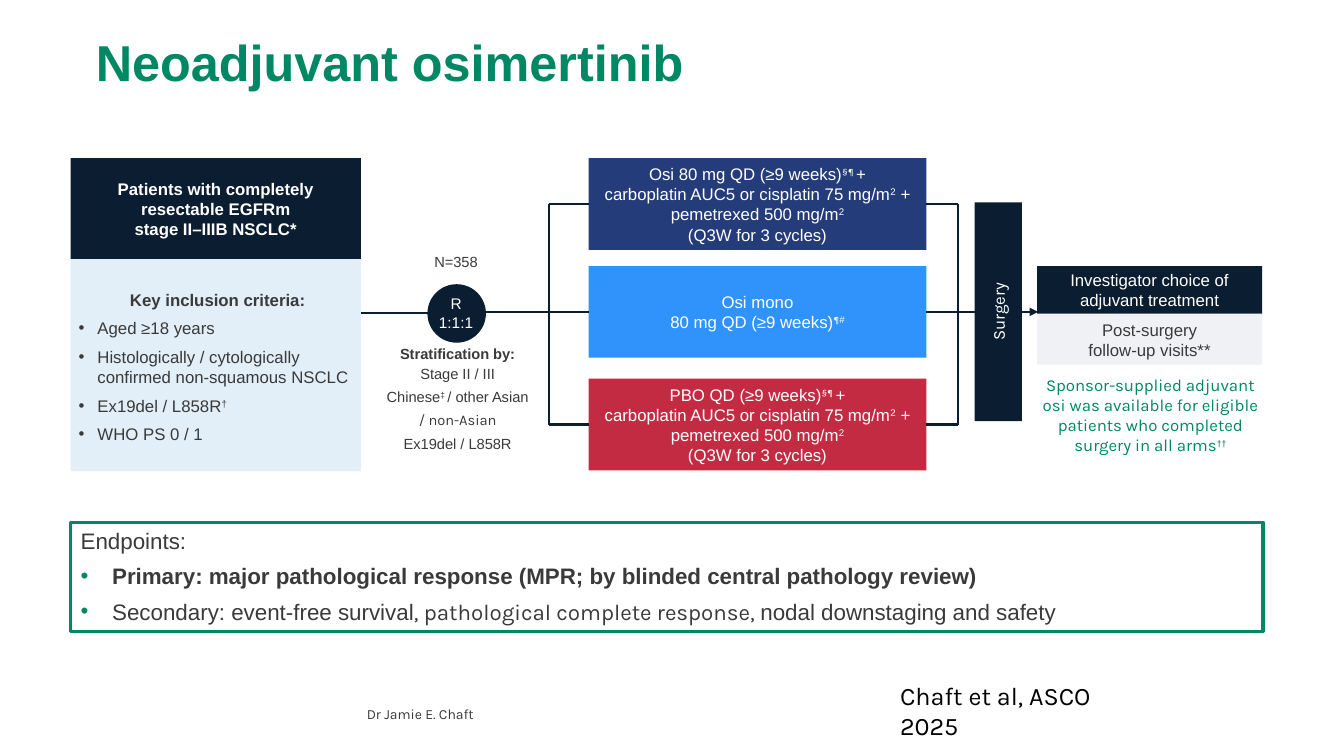
from copy import deepcopy

from lxml import etree
from pptx import Presentation
from pptx.dml.color import RGBColor
from pptx.enum.shapes import MSO_CONNECTOR, MSO_SHAPE
from pptx.enum.text import MSO_ANCHOR, MSO_AUTO_SIZE, PP_ALIGN
from pptx.oxml.ns import qn
from pptx.util import Pt

LEFT, CENTER = PP_ALIGN.LEFT, PP_ALIGN.CENTER
TOP, MIDDLE, BOTTOM = MSO_ANCHOR.TOP, MSO_ANCHOR.MIDDLE, MSO_ANCHOR.BOTTOM
RECT, OVAL = MSO_SHAPE.RECTANGLE, MSO_SHAPE.OVAL
STRAIGHT, NO_FIT = MSO_CONNECTOR.STRAIGHT, MSO_AUTO_SIZE.NONE
SIDE_LEFT, SIDE_RIGHT = 1, 3

NAVY, GREEN, GREY, WHITE = "0B1E31", "008764", "3A3A3A", "FFFFFF"
BOLD, SUP, KARLA = {"bold": True}, {"sup": True}, {"font": "Karla"}
KARLA_SUP = {**KARLA, **SUP}

TITLE = [["Neoadjuvant osimertinib"]]
ENDPOINTS = [
    ["Endpoints:"],
    [("Primary: major pathological response (MPR; by blinded central pathology review)", BOLD)],
    ["Secondary: event-free survival", (", pathological complete response, ", KARLA),
     "nodal downstaging and safety"],
]
PATIENTS = [["Patients with completely resectable EGFRm\nstage II–IIIB NSCLC*"]]
CRITERIA = [
    [("Key inclusion criteria:", BOLD)],
    ["Aged ≥18 years"],
    ["Histologically / cytologically confirmed non-squamous NSCLC"],
    ["Ex19del / L858R", ("†", SUP)],
    ["WHO PS 0 / 1"],
]
STRATA = [
    [("Stratification by:", BOLD)],
    ["Stage II / III"],
    ["Chinese", ("‡ ", SUP), "/ other Asian"],
    [("/ non-Asian", KARLA)],
    ["Ex19del / L858R"],
]
CHEMO = [("§¶ ", KARLA_SUP), "+\ncarboplatin AUC5 or cisplatin 75 mg/m", ("2", SUP),
         " + pemetrexed 500 mg/m", ("2", SUP), "\n(Q3W for 3 cycles)"]
ARMS = [
    (113, "253C7A", [["Osi 80 mg QD (≥9 weeks)", *CHEMO]]),
    (190, "2F93FB", [["Osi mono\n80 mg QD (≥9 weeks)", ("¶", KARLA_SUP), ("#", SUP)]]),
    (270.5, "C32B42", [["PBO QD (≥9 weeks)", *CHEMO]]),
]
SPONSOR = [["Sponsor-supplied adjuvant osi was available for eligible patients "
            "who completed surgery in all arms", ("††", SUP)]]

ARM_X, ARM_W, ARM_H = 420.5, 241.2, 65.5
FORK_X, JOIN_X = 392.4, 684
ARM_MIDS = [top + ARM_H / 2 for top, _, _ in ARMS]
SURGERY_H = 156.2
DEFAULT_INSETS = (7.2, 3.6, 7.2, 3.6)


def rgb(color):
    return RGBColor.from_string(color)


def set_bullet(p, indent, color):
    pPr = p._p.get_or_add_pPr()
    pPr.set("marL", str(Pt(indent)))
    pPr.set("indent", str(-Pt(indent)))
    if not indent:
        etree.SubElement(pPr, qn("a:buNone"))
        return
    clr = etree.SubElement(pPr, qn("a:buClr"))
    etree.SubElement(clr, qn("a:srgbClr")).set("val", color)
    etree.SubElement(pPr, qn("a:buFont")).set("typeface", "Arial")
    etree.SubElement(pPr, qn("a:buChar")).set("char", "•")


def add_run(p, text, size, color, font="Arial", bold=False, sup=False):
    for i, line in enumerate(text.split("\n")):
        if i:
            p.add_line_break()
            br = p._p[-1]
        r = p.add_run()
        r.text = line
        r.font.size = Pt(size)
        r.font.name = font
        r.font.bold = bold
        r.font.color.rgb = rgb(color)
        if sup:
            r._r.get_or_add_rPr().set("baseline", "30000")
        if i:
            br.append(deepcopy(r._r.rPr))


def write(sp, paragraphs, size=12, color=GREY, align=CENTER, head_align=None, anchor=MIDDLE,
          insets=DEFAULT_INSETS, after=0, head_after=None, line=1.0, indent=0,
          bullet_color=GREY, **run_format):
    tf = sp.text_frame
    tf.word_wrap = True
    tf.auto_size = NO_FIT
    tf.vertical_anchor = anchor
    tf.margin_left, tf.margin_top, tf.margin_right, tf.margin_bottom = map(Pt, insets)
    for i, runs in enumerate(paragraphs):
        p = tf.add_paragraph() if i else tf.paragraphs[0]
        set_bullet(p, indent if i else 0, bullet_color)
        p.alignment = head_align if head_align and not i else align
        p.space_before = Pt(0)
        p.space_after = Pt(after if i or head_after is None else head_after)
        p.line_spacing = line
        for run in runs:
            text, extra = (run, {}) if isinstance(run, str) else run
            add_run(p, text, size, color, **{**run_format, **extra})


def place(sp, x, y, w, h):
    sp.left, sp.top, sp.width, sp.height = map(Pt, (x, y, w, h))
    return sp


def add_block(slide, box, fill, paragraphs=None, kind=RECT, **fmt):
    sp = slide.shapes.add_shape(kind, *map(Pt, box))
    sp.shadow.inherit = False
    sp.fill.solid()
    sp.fill.fore_color.rgb = rgb(fill)
    sp.line.fill.background()
    if paragraphs:
        write(sp, paragraphs, **fmt)
    return sp


def add_label(slide, box, paragraphs, **fmt):
    write(slide.shapes.add_textbox(*map(Pt, box)), paragraphs, **fmt)


def add_line(slide, x1, y1, x2, y2, begin=None, end=None, arrow=False):
    cx = slide.shapes.add_connector(STRAIGHT, *map(Pt, (x1, y1, x2, y2)))
    cx.line.color.rgb = rgb(NAVY)
    cx.line.width = Pt(1.5)
    if begin:
        cx.begin_connect(*begin)
    if end:
        cx.end_connect(*end)
    if arrow:
        etree.SubElement(cx.line._get_or_add_ln(), qn("a:tailEnd")).set("type", "triangle")
    etree.SubElement(cx._element.spPr, qn("a:effectLst"))


def build():
    prs = Presentation()
    prs.slide_width, prs.slide_height = Pt(960), Pt(540)
    slide = prs.slides.add_slide(prs.slide_layouts[1])

    title = place(slide.shapes.title, 61.2, 13.7, 864, 65.5)
    write(title, TITLE, size=36, color=GREEN, align=LEFT, line=0.9, bold=True)
    endpoints = place(slide.placeholders[1], 50.4, 375, 859, 78.5)
    endpoints.left, endpoints.width = Pt(50.4), Pt(859)
    endpoints.line.color.rgb = rgb(GREEN)
    endpoints.line.width = Pt(2.25)
    write(endpoints, ENDPOINTS, size=16, align=LEFT, anchor=TOP, after=6,
          indent=22.5, bullet_color=GREEN)
    place(endpoints, 50.4, 373, 851.8, 77.8)

    criteria = add_block(slide, (50.4, 184.5, 207.4, 152), "71AAE0", CRITERIA, align=LEFT,
                         head_align=CENTER, insets=(5.7, 2.9, 2.9, 0), after=6, indent=13.5)
    tint = criteria._element.spPr.find(qn("a:solidFill"))[0]
    etree.SubElement(tint, qn("a:alpha")).set("val", "20000")
    add_block(slide, (50.4, 113, 207.4, 72), NAVY, PATIENTS, color=WHITE, bold=True)
    arms = [add_block(slide, (ARM_X, top, ARM_W, ARM_H), fill, text, color=WHITE)
            for top, fill, text in ARMS]
    upper, middle, lower = ARM_MIDS
    surgery = add_block(slide, (696.2, middle - SURGERY_H / 2, 33.8, SURGERY_H), NAVY,
                        [["Surgery"]], color=WHITE, **KARLA)
    surgery.text_frame._txBody.bodyPr.set("vert", "vert270")

    for spine_x, edge_x, side in ((FORK_X, ARM_X, SIDE_LEFT), (JOIN_X, ARM_X + ARM_W, SIDE_RIGHT)):
        add_line(slide, spine_x, upper, spine_x, lower)
        for arm, mid in ((arms[0], upper), (arms[2], lower)):
            add_line(slide, edge_x, mid, spine_x, mid, begin=(arm, side))
    add_line(slide, 335.5, middle, ARM_X, middle, end=(arms[1], SIDE_LEFT))
    add_line(slide, ARM_X + ARM_W, middle, 696.2, middle,
             begin=(arms[1], SIDE_RIGHT), end=(surgery, SIDE_LEFT))
    add_line(slide, 257.8, 223.9, 308, 223.9)
    add_line(slide, 730, middle, 741.5, middle, begin=(surgery, SIDE_RIGHT), arrow=True)

    add_block(slide, (305.3, 203, 41.8, 41.8), NAVY, kind=OVAL)
    add_label(slide, (293.8, 206.6, 64, 33.8), [["R\n1:1:1"]], size=11, color=WHITE, anchor=TOP)
    add_label(slide, (293.8, 171.4, 64, 31.7), [["N=358"]], size=10.5, insets=(5.7, 0, 5.7, 0))
    add_label(slide, (257.8, 245.5, 135.4, 77.8), STRATA, size=10.5,
              insets=(5.7, 5.7, 2.9, 5.7), after=4, head_after=2)

    add_block(slide, (740.9, 224.6, 160.6, 36), "EFF1F4", [["Post-surgery\nfollow-up visits**"]])
    add_block(slide, (740.9, 190, 160.6, 34), NAVY,
              [["Investigator choice of adjuvant treatment"]], color=WHITE)
    add_block(slide, (735.8, 263.5, 172, 65.5), WHITE, SPONSOR, color=GREEN, **KARLA)

    add_label(slide, (262, 494, 461, 22.3), [["Dr Jamie E. Chaft"]], size=10, align=LEFT,
              anchor=BOTTOM, insets=(0, 0, 0, 0), line=0.9, **KARLA)
    add_label(slide, (635.8, 482.4, 193.7, 28.8), [["Chaft et al, ASCO 2025"]], size=18,
              color="000000", align=LEFT, anchor=TOP, **KARLA)
    prs.save("out.pptx")


if __name__ == "__main__":
    build()
